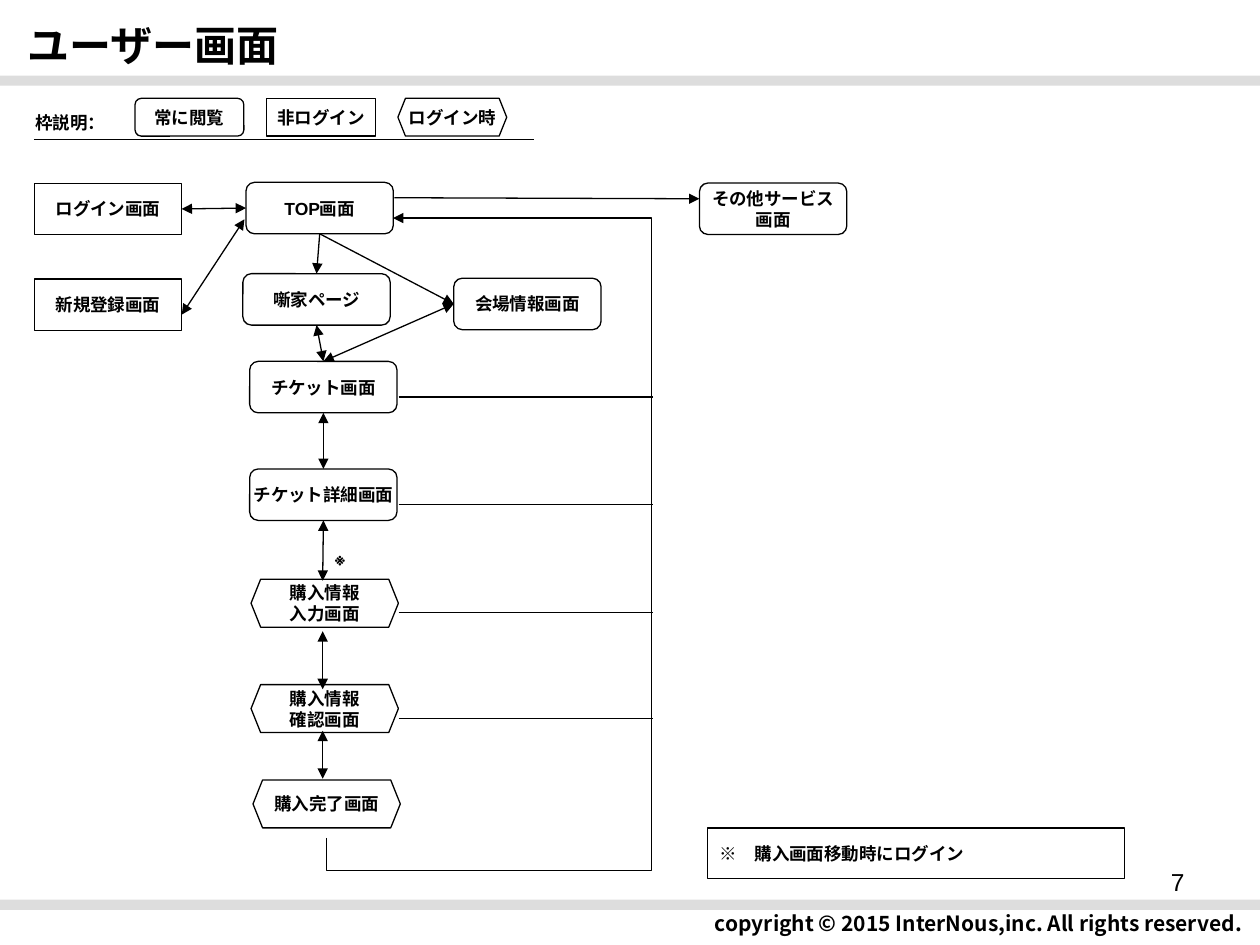
from lxml.etree import SubElement
from pptx import Presentation
from pptx.dml.color import RGBColor
from pptx.enum.shapes import MSO_CONNECTOR as Connector, MSO_SHAPE as Shape
from pptx.enum.text import MSO_ANCHOR as Anchor, PP_ALIGN as Align
from pptx.oxml.ns import qn
from pptx.util import Pt

COLORS = {"ink": "000000", "paper": "FFFFFF", "band": "DDDDDD"}
LABEL_FONT = "Arial"
TITLE_FONT = "Noto Sans CJK JP"
BOX_WIDTH, BOX_HEIGHT, HEXAGON_HEIGHT = 84.2, 29.4, 27.4
TOP, LEFT, BOTTOM, RIGHT = range(4)
RETURN_X = 373


def color(name):
    return RGBColor.from_string(COLORS[name])


def write(shape, text, size=10, font=LABEL_FONT, bold=True, align=Align.CENTER,
          anchor=Anchor.MIDDLE, wrap=False):
    frame = shape.text_frame
    frame.word_wrap = wrap
    frame.vertical_anchor = anchor
    for index, line in enumerate(text.split("\n")):
        paragraph = frame.add_paragraph() if index else frame.paragraphs[0]
        paragraph.alignment = align
        run = paragraph.add_run()
        run.text = line
        run.font.size = Pt(size)
        run.font.bold = bold
        run.font.name = font
        run.font.color.rgb = color("ink")
        # East Asian glyphs take the same typeface as Latin ones
        SubElement(run.font._element, qn("a:ea"), typeface=font)


def add_label(slide, text, left, top, width, height, **style):
    write(slide.shapes.add_textbox(Pt(left), Pt(top), Pt(width), Pt(height)), text, **style)


def add_band(slide, top):
    band = slide.shapes.add_shape(Shape.RECTANGLE, 0, Pt(top), Pt(723), Pt(5.8))
    band.shadow.inherit = False
    band.fill.solid()
    band.fill.fore_color.rgb = color("band")
    band.line.fill.background()


def add_box(slide, kind, text, left, top, width=BOX_WIDTH, height=BOX_HEIGHT,
            align=Align.CENTER):
    box = slide.shapes.add_shape(kind, Pt(left), Pt(top), Pt(width), Pt(height))
    if kind == Shape.HEXAGON:
        box.adjustments[0] = 0.2
    box.shadow.inherit = False
    box.fill.solid()
    box.fill.fore_color.rgb = color("paper")
    box.line.color.rgb = color("ink")
    box.line.width = Pt(0.75)
    write(box, text, align=align)
    return box


def add_line(slide, start, end, arrows="", kind=Connector.STRAIGHT):
    """Draw from start to end, each a point or a (box, side) pair.

    arrows holds "h" for a head at the start and "t" for one at the end.
    """
    joined = [not isinstance(place[0], (int, float)) for place in (start, end)]
    begin_point, end_point = [
        (0, 0) if is_joined else place
        for is_joined, place in zip(joined, (start, end))]
    line = slide.shapes.add_connector(kind, *map(Pt, begin_point), *map(Pt, end_point))
    if joined[0]:
        line.begin_connect(*start)
    if joined[1]:
        line.end_connect(*end)
    line.line.color.rgb = color("ink")
    line.line.width = Pt(0.75)
    outline = line.line._get_or_add_ln()
    for letter, tag in (("h", "a:headEnd"), ("t", "a:tailEnd")):
        if letter in arrows:
            SubElement(outline, qn(tag), type="triangle")
    SubElement(line._element.spPr, qn("a:effectLst"))
    return line


def add_return_path(slide):
    """Lead from the last screen down, right and up, back to the top screen."""
    line = add_line(slide, (382.65, 320.75), (28.45, 282.65), "t", Connector.ELBOW)
    properties = line._element.spPr
    properties.find(qn("a:xfrm")).set("rot", "5400000")
    geometry = properties.find(qn("a:prstGeom"))
    geometry.set("prst", "bentConnector4")
    guides = geometry.find(qn("a:avLst"))
    if guides is None:
        guides = SubElement(geometry, qn("a:avLst"))
    for name, value in (("adj1", -5300), ("adj2", 487400)):
        SubElement(guides, qn("a:gd"), name=name, fmla=f"val {value}")


def add_frame(slide):
    add_label(slide, "ユーザー画面", 8.6, 3.6, 504.7, 43.9, size=24, font=TITLE_FONT,
              align=Align.LEFT)
    add_label(slide, "copyright © 2015 InterNous,inc. All rights reserved.",
              212.4, 514.1, 504.7, 26.6, size=12, font=TITLE_FONT, align=Align.RIGHT)
    add_band(slide, 43.2)
    add_band(slide, 514.1)
    add_label(slide, "7", 516.2, 491.8, 167.8, 37.4, size=14, bold=False,
              align=Align.RIGHT, anchor=Anchor.TOP, wrap=True)


def add_legend(slide):
    add_label(slide, "枠説明：", 13, 60.5, 54, 19.4, align=Align.LEFT, anchor=Anchor.TOP)
    kinds = [(Shape.ROUNDED_RECTANGLE, "常に閲覧"), (Shape.RECTANGLE, "非ログイン"),
             (Shape.HEXAGON, "ログイン時")]
    for index, (kind, text) in enumerate(kinds):
        add_box(slide, kind, text, 77.2 + 75.1 * index, 56.2, 62.2, 21.6)
    add_line(slide, (19.4, 79.9), (305.3, 79.9))
    add_box(slide, Shape.RECTANGLE, "※　購入画面移動時にログイン", 404.2, 473.2, 238.3, 29,
            Align.LEFT)


def add_flow(slide):
    def always(*box):
        return add_box(slide, Shape.ROUNDED_RECTANGLE, *box)

    ticket = always("チケット画面", 142.7, 206.5)
    storyteller = always("噺家ページ", 138.8, 156.4)
    home = always("TOP画面", 140.6, 104.2)
    detail = always("チケット詳細画面", 142.7, 268)
    venue = always("会場情報画面", 259.3, 159)
    always("その他サービス\n画面", 399.7, 104.6)
    login = add_box(slide, Shape.RECTANGLE, "ログイン画面", 19.6, 104.7)
    add_box(slide, Shape.RECTANGLE, "新規登録画面", 19.6, 159.5)
    for text, left, top in (("購入情報\n入力画面", 143.5, 331),
                            ("購入情報\n確認画面", 143.5, 391.2),
                            ("購入完了画面", 144.6, 445.7)):
        add_box(slide, Shape.HEXAGON, text, left, top, BOX_WIDTH, HEXAGON_HEIGHT)

    center = 184.4
    for start, end, arrows in (
            ((139.7, 125.3), (103.9, 179.8), "ht"),
            ((login, RIGHT), (home, LEFT), "ht"),
            ((ticket, BOTTOM), (detail, TOP), "ht"),
            ((detail, BOTTOM), (center, 331.9), "ht"),
            ((center, 360.7), (center, 393.8), "ht"),
            ((center, 417.6), (center, 445), "ht"),
            ((225.4, 113), (399.7, 113.6), "t"),
            ((home, BOTTOM), (storyteller, TOP), "t"),
            ((home, BOTTOM), (venue, LEFT), "t"),
            ((venue, LEFT), (ticket, TOP), "ht"),
            ((storyteller, BOTTOM), (ticket, TOP), "ht")):
        add_line(slide, start, end, arrows)
    for y in (226.9, 288.5, 350.2, 410.4):
        add_line(slide, (227.8, y), (RETURN_X, y))
    add_return_path(slide)
    add_label(slide, "※", 184.3, 309.6, 20.9, 19.4, align=Align.LEFT, anchor=Anchor.TOP,
              wrap=True)


def main():
    presentation = Presentation()
    presentation.slide_width, presentation.slide_height = Pt(720), Pt(540)
    slide = presentation.slides.add_slide(presentation.slide_layouts[6])
    add_frame(slide)
    add_legend(slide)
    add_flow(slide)
    presentation.save("out.pptx")


if __name__ == "__main__":
    main()
